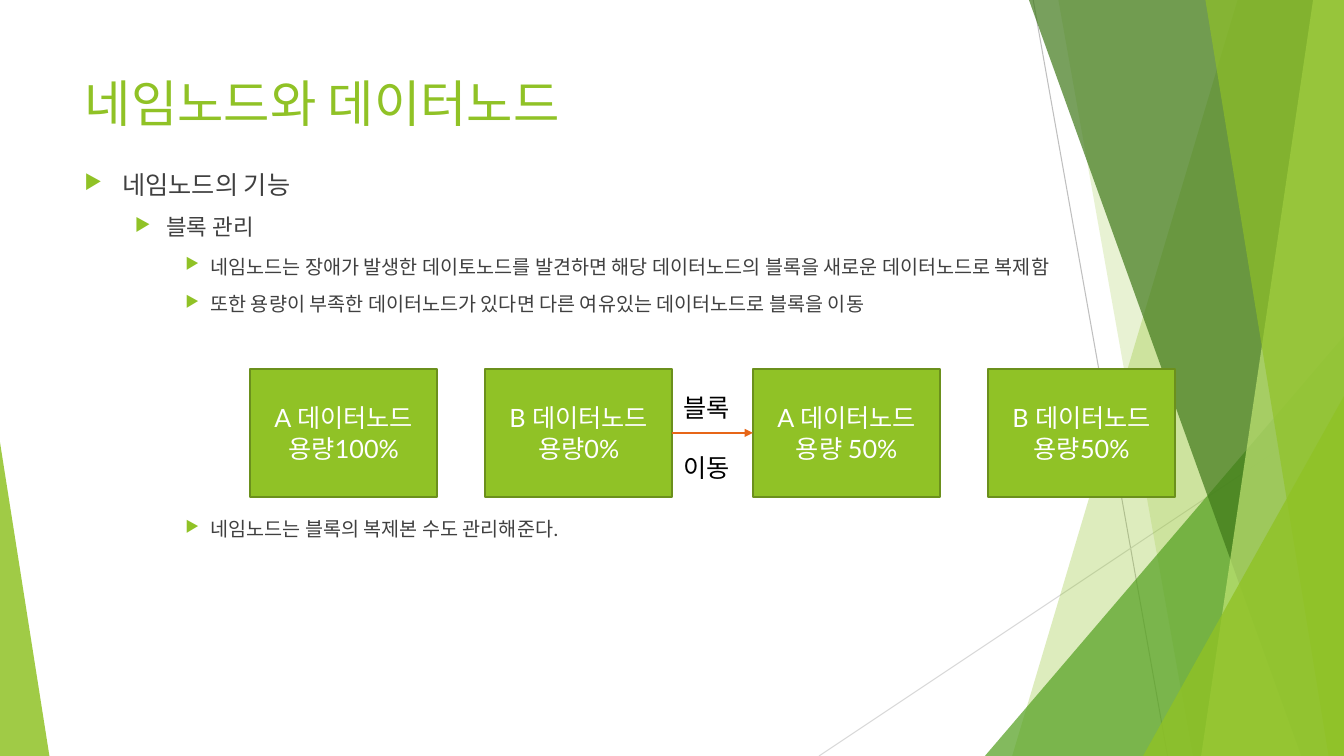
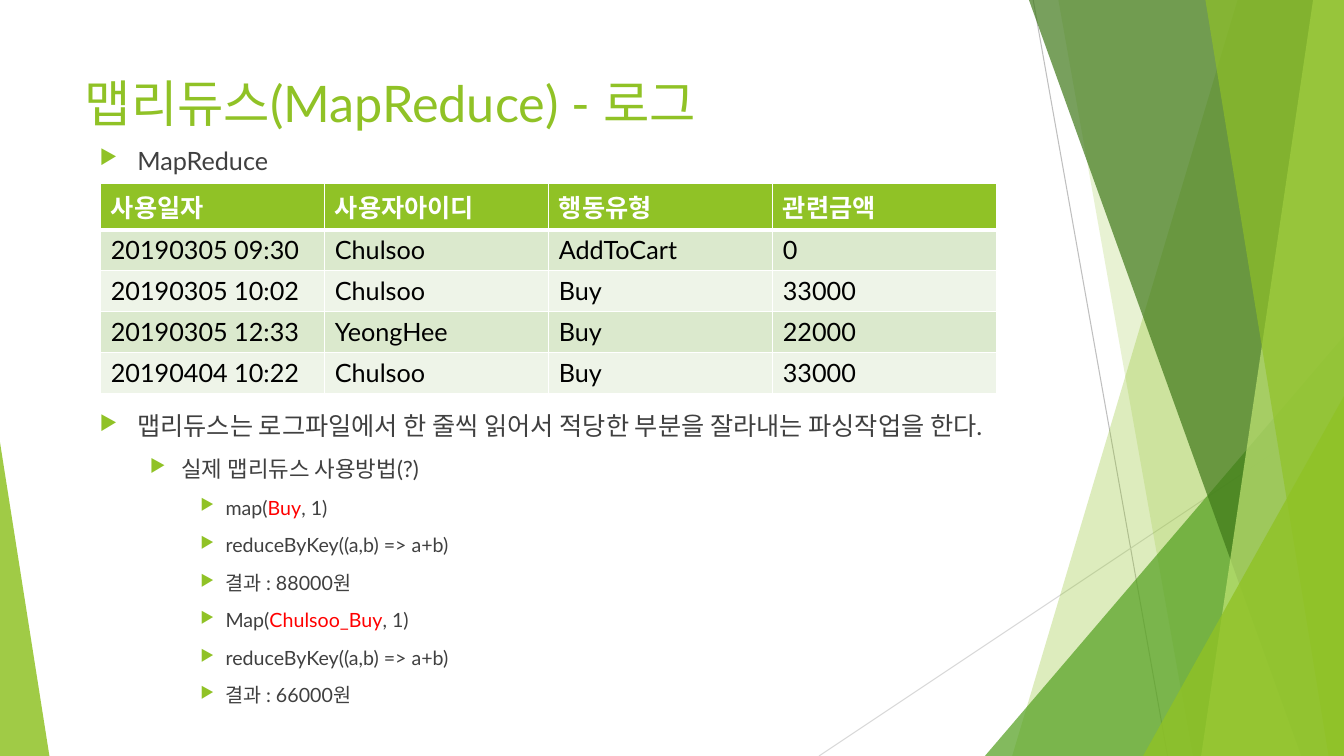
import pptx
import pptx.dml.color
import pptx.enum.shapes
import pptx.enum.text
import pptx.oxml
import pptx.oxml.ns
import pptx.util

Pt = pptx.util.Pt
qn = pptx.oxml.ns.qn
SHAPES = pptx.enum.shapes.MSO_SHAPE
ALIGN = pptx.enum.text.PP_ALIGN
ANCHOR = pptx.enum.text.MSO_ANCHOR
NO_FIT = pptx.enum.text.MSO_AUTO_SIZE.NONE

WIDTH, HEIGHT = 960, 540
FONT = "Lato"
GREEN, MID_GREEN, DARK_GREEN, PALE_GREEN = "90C226", "54A021", "3F7819", "C0E474"
NODE_EDGE, ARROW = "6B901C", "E76618"
BODY, WHITE, BLACK, RED = "404040", "FFFFFF", "000000", "FF0000"
ROW_FILLS = ("EEF4E8", "DBE9CD")


def rgb(color):
    return pptx.dml.color.RGBColor.from_string(color)


def xml(tag, attributes="", content=""):
    """Return a DrawingML element built from its tag, attributes and inner XML."""
    namespace = pptx.oxml.ns.nsdecls("a")
    return pptx.oxml.parse_xml(
        f"<a:{tag} {namespace} {attributes}>{content}</a:{tag}>")


def apply(target, values):
    for name, value in values.items():
        setattr(target, name, value)


class Deck:
    def __init__(self):
        self.presentation = pptx.Presentation()
        apply(self.presentation, {"slide_width": Pt(WIDTH), "slide_height": Pt(HEIGHT)})
        self.layout = self.presentation.slide_layouts.get_by_name("Title Only")
        self.slide = None

    def add_slide(self, title):
        self.slide = self.presentation.slides.add_slide(self.layout)
        heading = self.slide.shapes.title
        apply(heading, {"left": Pt(53.3), "top": Pt(48),
                        "width": Pt(677), "height": Pt(104)})
        self.fill_frame(heading.text_frame, [title], size=36, color=GREEN)

    def add_run(self, paragraph, words, size, color, bold):
        run = paragraph.add_run()
        run.text = words
        apply(run.font, {"name": FONT, "size": Pt(size), "bold": bold})
        run.font.color.rgb = rgb(color)

    def fill_frame(self, frame, lines, size=18, color=BODY,
                   align=ALIGN.LEFT, anchor=ANCHOR.TOP):
        """Fill a frame; in a line given as a tuple, every second part is red."""
        apply(frame, {"word_wrap": True, "auto_size": NO_FIT,
                      "vertical_anchor": anchor})
        for number, line in enumerate(lines):
            paragraph = frame.add_paragraph() if number else frame.paragraphs[0]
            paragraph.alignment = align
            parts = line if isinstance(line, tuple) else (line,)
            for position, part in enumerate(parts):
                self.add_run(paragraph, part, size, RED if position % 2 else color, False)

    def paint(self, shape, fill, opacity=100, edge=None):
        shape.shadow.inherit = False
        shape.fill.solid()
        shape.fill.fore_color.rgb = rgb(fill)
        if opacity < 100:
            fill_color = next(shape.element.iter(qn("a:srgbClr")))
            fill_color.append(xml("alpha", f'val="{opacity * 1000}"'))
        if edge:
            shape.line.color.rgb = rgb(edge)
            shape.line.width = Pt(1.5)
        else:
            shape.line.fill.background()

    def line(self, start, end, color, weight=0.75):
        connector = self.slide.shapes.add_connector(
            pptx.enum.shapes.MSO_CONNECTOR.STRAIGHT,
            *(Pt(length) for length in (*start, *end)))
        connector.line.color.rgb = rgb(color)
        connector.line.width = Pt(weight)
        connector.element.spPr.append(xml("effectLst"))
        return connector

    def band(self, top_x, bottom_x, color, opacity):
        """Draw a full-height facet from a slanted left edge to the slide's right edge."""
        corners = [(Pt(x), Pt(y)) for x, y in (
            (top_x, 0), (WIDTH, 0), (WIDTH, HEIGHT), (bottom_x, HEIGHT))]
        outline = self.slide.shapes.build_freeform(*corners[0])
        outline.add_line_segments(corners[1:])
        self.paint(outline.convert_to_shape(), color, opacity)

    def corner(self, left, top, width, apex, color, opacity):
        """Draw a triangle standing on the slide's lower edge."""
        triangle = self.slide.shapes.add_shape(
            SHAPES.ISOSCELES_TRIANGLE, Pt(left), Pt(top), Pt(width), Pt(HEIGHT - top))
        triangle.adjustments[0] = apex
        self.paint(triangle, color, opacity)

    def add_facets(self):
        """Draw the facets on the current slide, then move them to the shared layout."""
        self.line((738, 0), (834, HEIGHT), "BFBFBF")
        self.line((WIDTH, 290), (585, HEIGHT), "D9D9D9")
        self.band(884, 723, GREEN, 30)
        self.band(756, 852, GREEN, 20)
        self.corner(703.5, 240, 256.5, 1, MID_GREEN, 72)
        self.band(735, 929.5, DARK_GREEN, 70)
        self.band(938, 858, PALE_GREEN, 70)
        self.band(861, 949, GREEN, 65)
        self.corner(816.5, 283, 143.5, 1, GREEN, 80)
        self.corner(0, 316, 35.3, 0, GREEN, 85)

        for placeholder in list(self.layout.placeholders):
            if placeholder.placeholder_format.idx:
                self.layout.shapes.element.remove(placeholder.element)
        for shape in list(self.slide.shapes):
            if not shape.is_placeholder:
                self.layout.shapes.element.append(shape.element)

    def text(self, left, top, width, height, lines, **style):
        box = self.slide.shapes.add_textbox(Pt(left), Pt(top), Pt(width), Pt(height))
        self.fill_frame(box.text_frame, lines, **style)
        return box

    def outline(self, left, top, width, height, items):
        """Add bullets from (level, line) pairs; a third value is the extra gap above."""
        box = self.text(left, top, width, height, [item[1] for item in items])
        elements = box.element.iter(qn("a:p"))
        for item, paragraph, element in zip(items, box.text_frame.paragraphs, elements):
            level = item[0]
            apply(paragraph, {"level": level, "space_before": Pt(10 + sum(item[2:]))})
            for run in paragraph.runs:
                run.font.size = Pt(18 - 2 * level)
            properties = element.get_or_add_pPr()
            properties.set("marL", str(Pt(27 + 31.5 * level)))
            properties.set("indent", str(-Pt(27 - 4.5 * level)))
            for mark in (xml("buClr", content=f'<a:srgbClr val="{GREEN}"/>'),
                         xml("buSzPct", 'val="80000"'), xml("buChar", 'char="▶"')):
                properties.append(mark)

    def node(self, left, top, name, capacity):
        box = self.slide.shapes.add_shape(
            SHAPES.RECTANGLE, Pt(left), Pt(top), Pt(134), Pt(91.5))
        self.paint(box, GREEN, edge=NODE_EDGE)
        self.fill_frame(box.text_frame, [f"{name} 데이터노드", capacity], color=WHITE,
                        align=ALIGN.CENTER, anchor=ANCHOR.MIDDLE)
        return box

    def arrow(self, source, target):
        """Join the right side of one node to the left side of another."""
        connector = self.line((0, 0), (0, 0), ARROW, 1)
        connector.begin_connect(source, 3)
        connector.end_connect(target, 1)
        stroke = next(connector.element.iter(qn("a:ln")))
        stroke.append(xml("tailEnd", 'type="triangle"'))

    def table(self, left, top, column_width, row_height, rows):
        columns = len(rows[0])
        frame = self.slide.shapes.add_table(
            len(rows), columns, Pt(left), Pt(top),
            Pt(column_width * columns), Pt(row_height * len(rows)))
        elements = frame.element.iter(qn("a:tc"))
        for index, (cell, element) in enumerate(zip(frame.table.iter_cells(), elements)):
            row, column = divmod(index, columns)
            header = row == 0
            cell.fill.solid()
            cell.fill.fore_color.rgb = rgb(GREEN if header else ROW_FILLS[row % 2])
            self.add_run(cell.text_frame.paragraphs[0], rows[row][column], 18,
                         WHITE if header else BLACK, header)
            weights = {"lnL": 1, "lnR": 1, "lnT": 3 if row == 1 else 1,
                       "lnB": 3 if header else 1}
            for place, (side, weight) in enumerate(weights.items()):
                element.get_or_add_tcPr().insert(place, xml(
                    side, f'w="{Pt(weight)}"',
                    f'<a:solidFill><a:srgbClr val="{WHITE}"/></a:solidFill>'))


def add_node_slide(deck):
    deck.add_slide("네임노드와 데이터노드")
    deck.add_facets()
    deck.outline(53.3, 117.4, 736, 305, [
        (0, "네임노드의 기능"),
        (1, "블록 관리"),
        (2, "네임노드는 장애가 발생한 데이토노드를 발견하면 해당 데이터노드의 "
            "블록을 새로운 데이터노드로 복제함"),
        (2, "또한 용량이 부족한 데이터노드가 있다면 다른 여유있는 데이터노드로 블록을 이동"),
        (2, "네임노드는 블록의 복제본 수도 관리해준다.", 134),
    ])
    capacities = (("용량100%", "용량0%"), ("용량 50%", "용량50%"))
    nodes = [deck.node(178.5 + 359.3 * state + 167.8 * place, 263.5, name, capacity)
             for state, pair in enumerate(capacities)
             for place, (name, capacity) in enumerate(zip("AB", pair))]
    deck.arrow(nodes[1], nodes[2])
    movement = deck.text(481, 276.5, 52, 73, ["블록", "이동"], color=BLACK)
    movement.text_frame.paragraphs[1].space_before = Pt(21.6)


def add_mapreduce_slide(deck):
    deck.add_slide("맵리듀스(MapReduce) - 로그")
    deck.table(72, 131, 160, 29.2, [
        ("사용일자", "사용자아이디", "행동유형", "관련금액"),
        ("20190305 09:30", "Chulsoo", "AddToCart", "0"),
        ("20190305 10:02", "Chulsoo", "Buy", "33000"),
        ("20190305 12:33", "YeongHee", "Buy", "22000"),
        ("20190404 10:22", "Chulsoo", "Buy", "33000"),
    ])
    deck.outline(64, 100, 677, 423, [
        (0, "MapReduce"),
        (0, "맵리듀스는 로그파일에서 한 줄씩 읽어서 적당한 부분을 잘라내는 파싱작업을 한다.", 158),
        (1, "실제 맵리듀스 사용방법(?)"),
        (2, ("map(", "Buy", ", 1)")),
        (2, "reduceByKey((a,b) => a+b)"),
        (2, "결과 : 88000원"),
        (2, ("Map(", "Chulsoo_Buy", ", 1)")),
        (2, "reduceByKey((a,b) => a+b)"),
        (2, "결과 : 66000원"),
    ])


def main():
    deck = Deck()
    add_node_slide(deck)
    add_mapreduce_slide(deck)
    deck.presentation.save("out.pptx")


if __name__ == "__main__":
    main()
